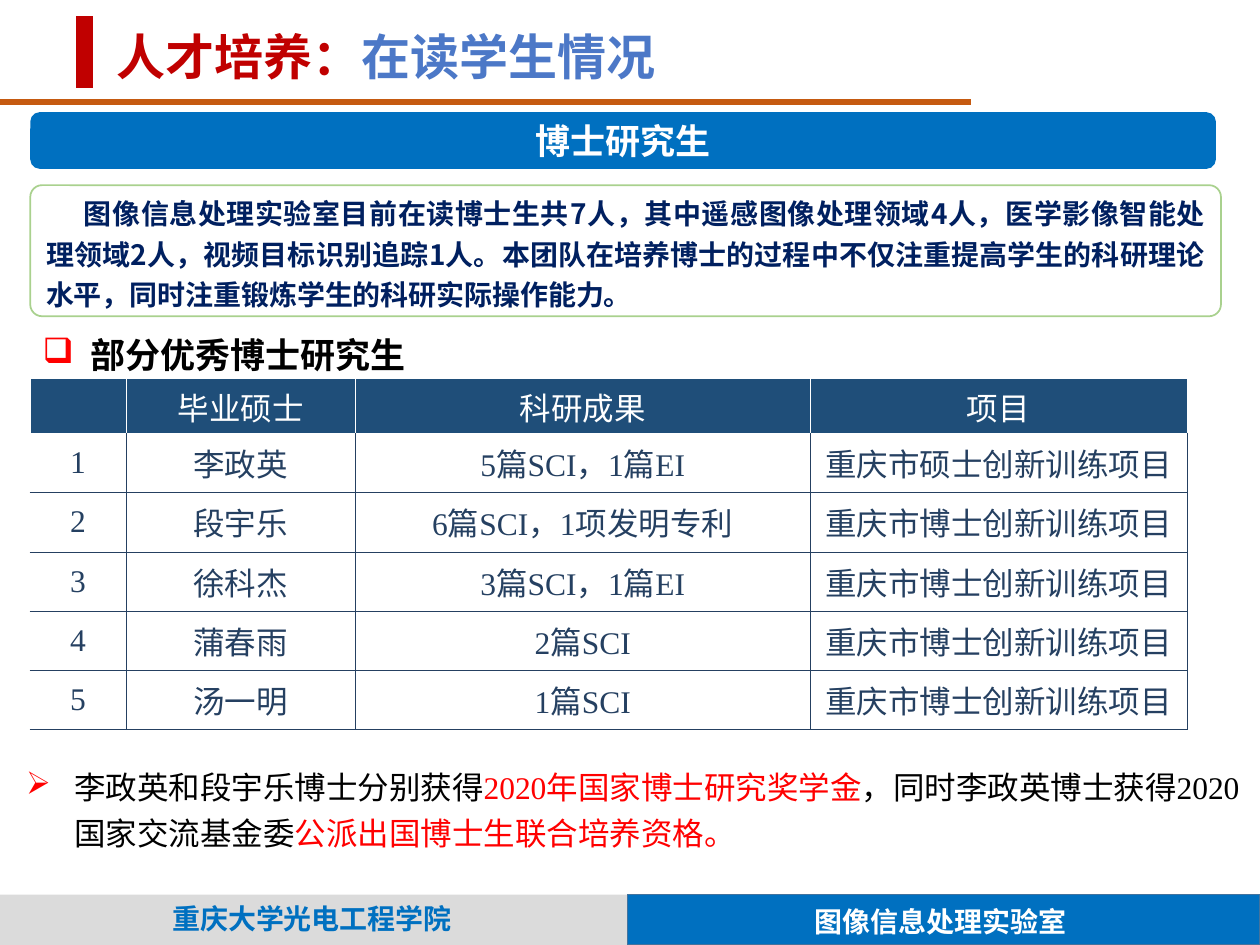
from lxml import etree
from pptx import Presentation, util as u
from pptx.dml.color import RGBColor
from pptx.enum import shapes, text
from pptx.oxml import ns

RED = RGBColor(0xC0, 0, 0)
BRIGHT = RGBColor(0xFF, 0, 0)
BLUE = RGBColor(0, 0x70, 0xC0)
SKY = RGBColor(0x4C, 0x78, 0xC7)
EDGE = RGBColor(0x43, 0x73, 0x9E)
NAVY = RGBColor(0, 0x20, 0x60)
DEEP = RGBColor(0x1F, 0x4E, 0x79)
INK = RGBColor(0x25, 0x40, 0x61)
ORANGE = RGBColor(0xC5, 0x5A, 0x11)
GREEN = RGBColor(0xA9, 0xD1, 0x8E)
GRAY = RGBColor(0xDB, 0xDB, 0xDB)
WHITE = RGBColor(0xFF, 0xFF, 0xFF)
BLACK = RGBColor(0, 0, 0)

SANS = "Noto Sans CJK SC"
SERIF = "Times New Roman"
MID = text.MSO_ANCHOR.MIDDLE
TOP = text.MSO_ANCHOR.TOP
LEFT = text.PP_ALIGN.LEFT
CENTER = text.PP_ALIGN.CENTER
FULL = text.PP_ALIGN.JUSTIFY
RECT = shapes.MSO_SHAPE.RECTANGLE
ROUND = shapes.MSO_SHAPE.ROUNDED_RECTANGLE


def child(parent, tag, **attrs):
    return etree.SubElement(parent, ns.qn(tag), attrs)


class Deck:
    def __init__(self, slide):
        self.slide = slide

    def line(self, start, end, color, width):
        points = [u.Inches(n) for n in (*start, *end)]
        line = self.slide.shapes.add_connector(shapes.MSO_CONNECTOR.STRAIGHT, *points)
        line.line.color.rgb = color
        line.line.width = u.Pt(width)
        child(line._element.spPr, "a:effectLst")

    def shape(self, kind, box, fill, edge=None, adjust=None):
        shape = self.slide.shapes.add_shape(kind, *map(u.Inches, box))
        shape.shadow.inherit = False
        shape.fill.solid()
        shape.fill.fore_color.rgb = fill
        if edge:
            shape.line.color.rgb = edge
            shape.line.width = u.Pt(1)
        else:
            shape.line.fill.background()
        if adjust:
            shape.adjustments[0] = adjust
        return shape

    def text(self, box, runs, anchor=MID, wrap=True, **style):
        label = self.slide.shapes.add_textbox(*map(u.Inches, box))
        self.fill(label.text_frame, runs, anchor, wrap, **style)

    def fill(self, frame, runs, anchor=MID, wrap=True, **style):
        frame.word_wrap = wrap
        frame.vertical_anchor = anchor
        self.put(frame.paragraphs[0], runs, **style)

    def put(self, para, runs, size=16, font=SANS, bold=True, align=LEFT,
            space=None, indent=None, bullet=None):
        props = para._p.get_or_add_pPr()
        if bullet:
            props.set("marL", str(u.Inches(0.38)))
            indent = -0.38
            tint = child(props, "a:buClr")
            child(tint, "a:srgbClr", val=str(BRIGHT))
            child(props, "a:buChar", char=bullet)
        if indent:
            props.set("indent", str(u.Inches(indent)))
        para.alignment = align
        if space:
            para.line_spacing = space
        for words, color in runs:
            run = para.add_run()
            run.text = words
            run.font.size = u.Pt(size)
            run.font.name = font
            run.font.bold = bold
            run.font.color.rgb = color
            child(run._r.get_or_add_rPr(), "a:ea", typeface=SANS)

    def border(self, cell, sides, color):
        props = cell._tc.get_or_add_tcPr()
        for side in sides:
            edge = child(props, "a:ln" + side, w=str(u.Pt(0.25)))
            paint = child(edge, "a:solidFill")
            child(paint, "a:srgbClr", val=str(color))

    def table(self, box, widths, heights, rows):
        frame = self.slide.shapes.add_table(len(rows), len(widths), *map(u.Inches, box))
        table = frame.table
        table.first_row = table.horz_banding = False
        for col, width in zip(table.columns, widths):
            col.width = u.Inches(width)
        for row, height in zip(table.rows, heights):
            row.height = u.Inches(height)
        for r, row in enumerate(rows):
            for c, words in enumerate(row):
                cell = table.cell(r, c)
                cell.vertical_anchor = MID
                if r and c in (1, 3):
                    cell.margin_left = cell.margin_right = u.Inches(0.04)
                sides = ["L", "R"] if c else ["R"]
                if r > 1:
                    sides.append("T")
                if r:
                    sides.append("B")
                self.border(cell, sides, INK if r else WHITE)
                if r:
                    cell.fill.background()
                else:
                    cell.fill.solid()
                    cell.fill.fore_color.rgb = DEEP
                self.put(cell.text_frame.paragraphs[0], [(words, INK if r else WHITE)],
                         18, SERIF, False, CENTER)


def main():
    prs = Presentation()
    prs.slide_width, prs.slide_height = u.Inches(10), u.Inches(7.5)
    deck = Deck(prs.slides.add_slide(prs.slide_layouts[6]))

    deck.line((-0.01, 0.81), (7.71, 0.81), ORANGE, 3)
    deck.line((0.67, 0.13), (0.67, 0.7), RED, 10)
    deck.shape(RECT, (0, 7.1, 4.98, 0.4), GRAY)
    deck.shape(RECT, (4.98, 7.1, 5.02, 0.4), BLUE, EDGE)
    deck.text((1.27, 7.1, 2.43, 0.37), [("重庆大学光电工程学院", BLUE)], wrap=False)
    deck.text((6.37, 7.13, 2.24, 0.37), [("图像信息处理实验室", WHITE)], wrap=False)

    deck.text((0.83, 0.13, 9.17, 0.62),
              [("人才培养：", RED), ("在读学生情况", SKY)], size=28, font="Calibri")
    banner = deck.shape(ROUND, (0.24, 0.89, 9.41, 0.45), BLUE)
    deck.fill(banner.text_frame, [("博士研究生", WHITE)], size=20, align=CENTER)
    intro = deck.shape(ROUND, (0.24, 1.47, 9.45, 1.04), WHITE, GREEN, 0.09)
    deck.fill(intro.text_frame, [(
        "图像信息处理实验室目前在读博士生共7人，其中遥感图像处理领域4人，"
        "医学影像智能处理领域2人，视频目标识别追踪1人。本团队在培养博士的过程中"
        "不仅注重提高学生的科研理论水平，同时注重锻炼学生的科研实际操作能力。", NAVY)],
        align=FULL, space=1.2, indent=0.3)

    deck.text((0.24, 2.5, 9.11, 0.5), [("部分优秀博士研究生", BLACK)], TOP,
              size=20, font=SERIF, align=FULL, space=1.3, bullet="❑")
    master, doctor = (f"重庆市{level}创新训练项目" for level in ("硕士", "博士"))
    people = [
        ("李政英", "5篇SCI，1篇EI", master),
        ("段宇乐", "6篇SCI，1项发明专利", doctor),
        ("徐科杰", "3篇SCI，1篇EI", doctor),
        ("蒲春雨", "2篇SCI", doctor),
        ("汤一明", "1篇SCI", doctor),
    ]
    rows = [("", "毕业硕士", "科研成果", "项目")]
    rows += [(str(n), *person) for n, person in enumerate(people, 1)]
    deck.table((0.24, 3, 9.18, 2.79), (0.76, 1.82, 3.61, 2.99),
               [0.44] + [0.47] * len(people), rows)

    deck.text((0.11, 5.99, 9.94, 0.83), [
        ("李政英和段宇乐博士分别获得", BLACK),
        ("2020年国家博士研究奖学金", BRIGHT),
        ("，同时李政英博士获得2020国家交流基金委", BLACK),
        ("公派出国博士生联合培养资格。", BRIGHT),
    ], TOP, size=18, font=SERIF, bold=False, space=1.2, bullet="➢")

    prs.save("out.pptx")


if __name__ == "__main__":
    main()
